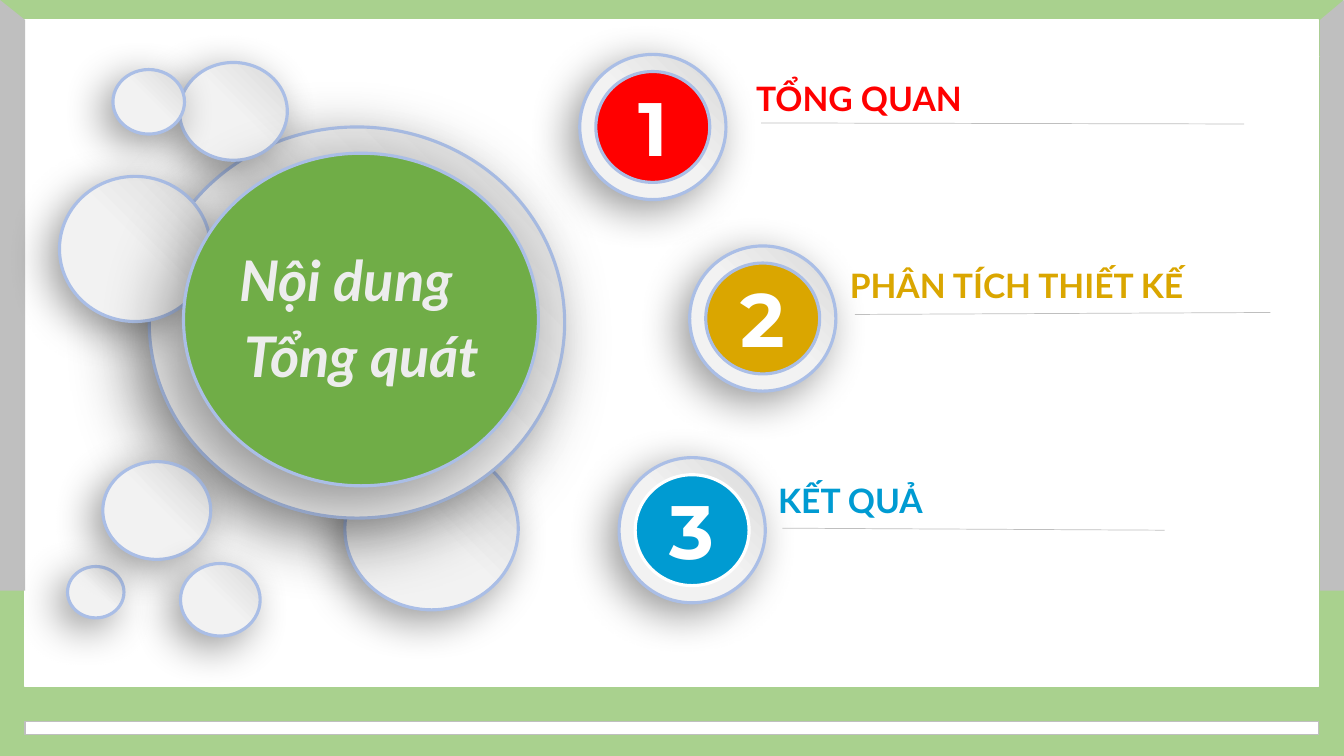
from dataclasses import dataclass
from typing import NamedTuple

from lxml.etree import SubElement
from pptx import Presentation
from pptx.dml.color import RGBColor
from pptx.enum.shapes import MSO_CONNECTOR, MSO_SHAPE
from pptx.enum.text import MSO_AUTO_SIZE, PP_ALIGN
from pptx.oxml.ns import qn
from pptx.shapes.autoshape import Shape
from pptx.shapes.shapetree import GroupShapes, SlideShapes
from pptx.util import Inches, Pt


@dataclass(frozen=True)
class Theme:
    frame: str = "A9D18E"
    side: str = "BFBFBF"
    white: str = "FFFFFF"
    rim: str = "AABEE6"
    hub: str = "70AD47"
    title: str = "EDEDED"
    shadow: str = "000000"
    red: str = "FF0000"
    gold: str = "DAA600"
    blue: str = "009BD2"
    bubble_stops: tuple = ((0, "FFFFFF"), (0, "F2F2F2"), (50, "F2F2F2"), (100, "D9D9D9"))
    text_font: str = "Lato"
    number_font: str = "Montserrat"
    title_size: int = 40
    number_size: int = 54
    heading_size: int = 24
    rim_width: float = 2.25


THEME = Theme()


class Box(NamedTuple):
    left: float
    top: float
    width: float
    height: float

    def lengths(self) -> list:
        return [Inches(value) for value in self]


class Shadow(NamedTuple):
    blur: int
    distance: int


class Line(NamedTuple):
    color: str
    width: float


class Style(NamedTuple):
    font: str
    size: int
    color: str
    italic: bool = False
    align: PP_ALIGN = PP_ALIGN.LEFT
    wrap: bool = True


class Topic(NamedTuple):
    number: str
    heading: str
    color: str
    rim: str
    badge: tuple
    heading_box: Box
    rule: tuple


SMALL_SHADOW = Shadow(30, 10)
LARGE_SHADOW = Shadow(50, 18)
RIM = Line(THEME.rim, THEME.rim_width)

FRAME = (
    (Box(-0.01, -0.01, 13.33, 0.57), THEME.frame, None),
    (Box(0, 0.56, 13.33, 6.94), THEME.frame, None),
    (Box(0.25, 0.2, 12.83, 6.61), THEME.white, Line(THEME.white, 1)),
    (Box(0.25, 7.16, 12.83, 0.13), THEME.white, Line(THEME.side, 1)),
)
SIDES = (
    ((0, 5.86), (0, 0), (0.25, 0.2), (0.25, 5.86)),
    ((13.09, 5.86), (13.09, 0.2), (13.34, -0.01), (13.34, 5.86)),
)
BUBBLES = (
    (Box(3.42, 4.44, 1.72, 1.61), SMALL_SHADOW),
    (Box(1.48, 1.26, 4.12, 3.88), LARGE_SHADOW),
    (Box(0.59, 1.75, 1.5, 1.44), SMALL_SHADOW),
    (Box(1.78, 0.62, 1.07, 0.97), SMALL_SHADOW),
    (Box(1.12, 0.69, 0.71, 0.64), SMALL_SHADOW),
    (Box(0.67, 5.62, 0.56, 0.51), SMALL_SHADOW),
    (Box(1.02, 4.58, 1.07, 0.97), SMALL_SHADOW),
    (Box(1.79, 5.59, 0.79, 0.72), SMALL_SHADOW),
)
TOPICS = (
    Topic("1", "TỔNG QUAN", THEME.red, THEME.rim, (5.75, 0.54),
          Box(7.4, 0.72, 5.39, 0.5), (7.55, 1.22, 12.34, 1.23)),
    Topic("2", "PHÂN TÍCH THIẾT KẾ", THEME.gold, THEME.rim, (6.84, 2.44),
          Box(8.33, 2.58, 5.71, 0.5), (8.48, 3.12, 12.6, 3.1)),
    Topic("3", "KẾT QUẢ", THEME.blue, THEME.white, (6.14, 4.54),
          Box(7.62, 4.71, 4.27, 0.5), (7.76, 5.24, 11.55, 5.26)),
)
HUB = Box(1.82, 1.52, 3.52, 3.3)
TITLE_LINES = (
    ("Nội dung", Box(-0.52, 2.39, 7.9, 0.77)),
    ("Tổng quát", Box(-0.36, 3.14, 7.9, 0.77)),
)


def rgb(color: str) -> RGBColor:
    return RGBColor.from_string(color)


def paint(shape: Shape, color: str, line: Line | None = None) -> None:
    shape.shadow.inherit = False
    shape.fill.solid()
    shape.fill.fore_color.rgb = rgb(color)
    if line:
        shape.line.color.rgb = rgb(line.color)
        shape.line.width = Pt(line.width)
    else:
        shape.line.fill.background()


def cast_shadow(shape: Shape, shadow: Shadow) -> None:
    """Add a soft outer shadow falling to the lower left."""
    effects = shape._element.spPr.find(qn("a:effectLst"))
    outer = SubElement(effects, qn("a:outerShdw"), blurRad=str(Pt(shadow.blur)),
                       dist=str(Pt(shadow.distance)), dir=str(135 * 60000),
                       algn="tr", rotWithShape="0")
    color = SubElement(outer, qn("a:srgbClr"), val=THEME.shadow)
    SubElement(color, qn("a:alpha"), val="40000")


def add_disc(shapes: SlideShapes | GroupShapes, box: Box, color: str, line: Line) -> Shape:
    disc = shapes.add_shape(MSO_SHAPE.OVAL, *box.lengths())
    paint(disc, color, line)
    return disc


def add_bubble(shapes: SlideShapes | GroupShapes, box: Box, shadow: Shadow) -> None:
    bubble = add_disc(shapes, box, THEME.white, RIM)
    bubble.fill.gradient()
    bubble.fill.gradient_angle = 45
    stops = bubble._element.spPr.find(".//" + qn("a:gsLst"))
    stops.clear()
    for position, color in THEME.bubble_stops:
        stop = SubElement(stops, qn("a:gs"), pos=str(position * 1000))
        SubElement(stop, qn("a:srgbClr"), val=color)
    cast_shadow(bubble, shadow)


def add_text(shapes: SlideShapes | GroupShapes, text: str, box: Box, style: Style) -> None:
    frame = shapes.add_textbox(*box.lengths()).text_frame
    frame.word_wrap = style.wrap
    frame.auto_size = MSO_AUTO_SIZE.SHAPE_TO_FIT_TEXT
    paragraph = frame.paragraphs[0]
    paragraph.text = text
    paragraph.alignment = style.align
    font = paragraph.font
    font.name, font.size = style.font, Pt(style.size)
    font.bold, font.italic = True, style.italic
    font.color.rgb = rgb(style.color)


def add_badge(shapes: SlideShapes, topic: Topic) -> None:
    left, top = topic.badge
    badge = shapes.add_group_shape().shapes
    add_bubble(badge, Box(left, top, 1.45, 1.44), SMALL_SHADOW)
    add_disc(badge, Box(left + 0.16, top + 0.17, 1.13, 1.1), topic.color,
             Line(topic.rim, THEME.rim_width))
    add_text(badge, topic.number, Box(left + 0.4, top + 0.21, 0.65, 1.01),
             Style(THEME.number_font, THEME.number_size, THEME.white,
                   align=PP_ALIGN.CENTER, wrap=False))


def add_heading(shapes: SlideShapes, topic: Topic) -> None:
    add_text(shapes, topic.heading, topic.heading_box,
             Style(THEME.text_font, THEME.heading_size, topic.color))
    rule = shapes.add_connector(MSO_CONNECTOR.STRAIGHT, *map(Inches, topic.rule))
    rule.line.color.rgb = rgb(THEME.side)
    rule.line.width = Pt(0.5)
    SubElement(rule._element.spPr, qn("a:effectLst"))


def add_frame(shapes: SlideShapes) -> None:
    for box, color, line in FRAME:
        paint(shapes.add_shape(MSO_SHAPE.RECTANGLE, *box.lengths()), color, line)
    for start, *others in SIDES:
        outline = shapes.build_freeform(*map(Inches, start))
        outline.add_line_segments([(Inches(x), Inches(y)) for x, y in others])
        paint(outline.convert_to_shape(), THEME.side)


def main() -> None:
    deck = Presentation()
    deck.slide_width, deck.slide_height = Inches(13.33), Inches(7.5)
    shapes = deck.slides.add_slide(deck.slide_layouts[6]).shapes
    add_frame(shapes)
    for box, shadow in BUBBLES:
        add_bubble(shapes, box, shadow)
    for topic in TOPICS:
        add_badge(shapes, topic)
        add_heading(shapes, topic)
    cast_shadow(add_disc(shapes, HUB, THEME.hub, RIM), LARGE_SHADOW)
    title = Style(THEME.text_font, THEME.title_size, THEME.title, True, PP_ALIGN.CENTER)
    for text, box in TITLE_LINES:
        add_text(shapes, text, box, title)
    deck.save("out.pptx")


if __name__ == "__main__":
    main()
